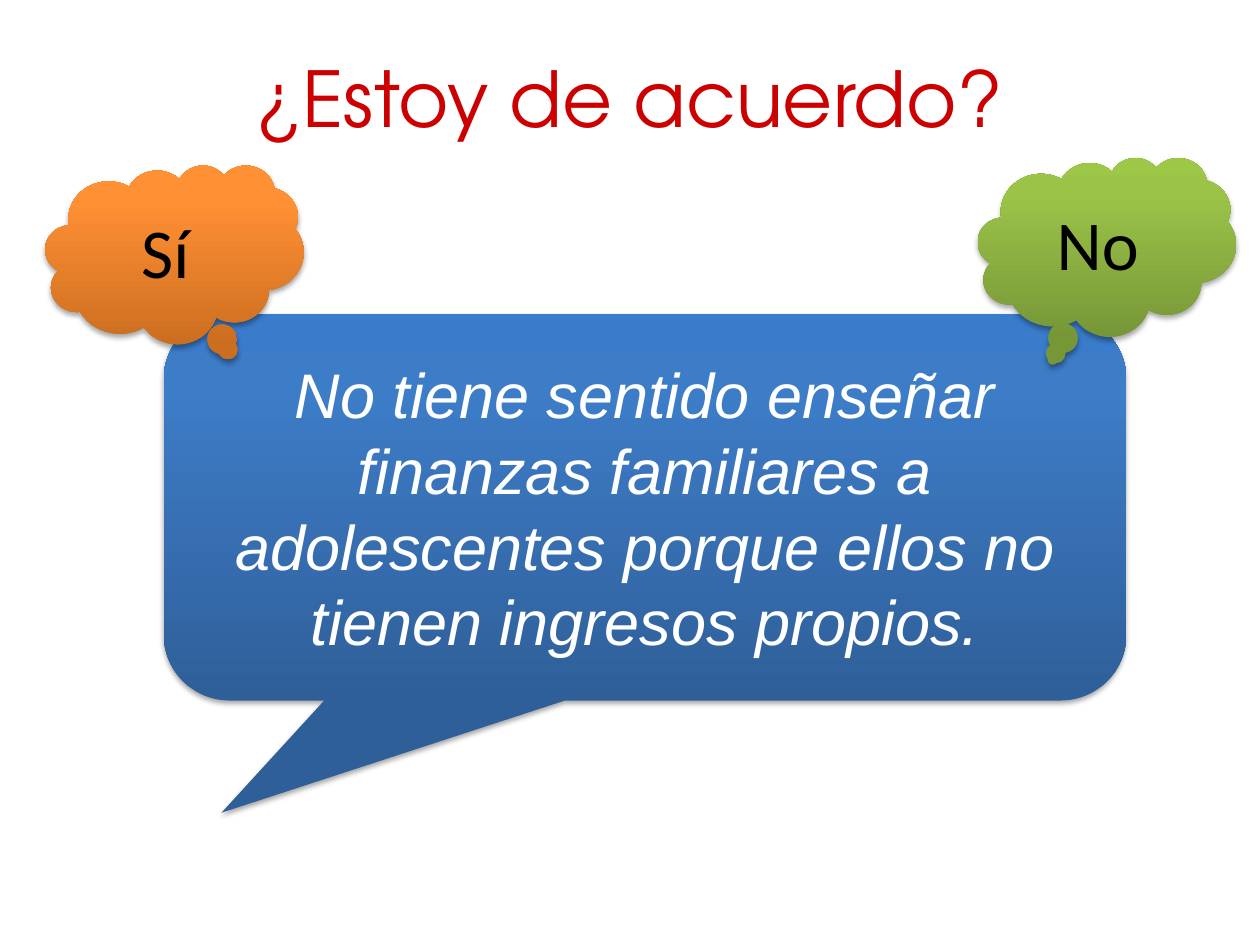
from copy import deepcopy

from lxml.etree import SubElement
from pptx import Presentation
from pptx.dml.color import RGBColor
from pptx.enum.shapes import MSO_SHAPE
from pptx.enum.text import MSO_ANCHOR, PP_ALIGN
from pptx.oxml.ns import qn
from pptx.util import Inches, Pt

RED = RGBColor(0xCC, 0x00, 0x00)
BLACK = RGBColor(0x00, 0x00, 0x00)
WHITE = RGBColor(0xFF, 0xFF, 0xFF)
BLUES = [RGBColor(0x2F, 0x5F, 0x99), RGBColor(0x3D, 0x7C, 0xC7), RGBColor(0x3A, 0x7C, 0xCB)]
GREENS = [RGBColor(0x77, 0x97, 0x37), RGBColor(0x9B, 0xC3, 0x48), RGBColor(0x9D, 0xC7, 0x46)]
ORANGES = [RGBColor(0xCC, 0x6E, 0x20), RGBColor(0xFF, 0x90, 0x34), RGBColor(0xFF, 0x91, 0x36)]

TITLE = {"name": "TeX Gyre Adventor", "size": Pt(44), "color": RED}
QUOTE = {"name": "Arial", "size": Pt(36), "italic": True, "color": WHITE}
REPLY = {"name": "Calibri", "size": Pt(40), "color": BLACK}


class Board:
    """Holds the current slide and the shared look of its callouts."""

    stops = (0, 0.8, 1)

    def __init__(self, slide):
        self.slide = slide

    def label(self, shape, text, style):
        frame = shape.text_frame
        frame.word_wrap = True
        frame.vertical_anchor = MSO_ANCHOR.MIDDLE
        line = frame.paragraphs[0]
        line.alignment = PP_ALIGN.CENTER
        run = line.add_run()
        run.text = text
        for key, value in style.items():
            if key == "color":
                run.font.color.rgb = value
            else:
                setattr(run.font, key, value)

    def title(self, box, text):
        shape = self.slide.shapes.add_textbox(*map(Inches, box))
        self.label(shape, text, TITLE)

    def callout(self, kind, box, tail, colors, text, style):
        shape = self.slide.shapes.add_shape(kind, *map(Inches, box))
        for i, value in enumerate(tail):
            shape.adjustments[i] = value
        shape.line.fill.background()
        self.shade(shape, colors)
        self.shadow(shape)
        self.label(shape, text, style)

    def shade(self, shape, colors):
        """Fill with a gradient that rises from the bottom edge."""
        fill = shape.fill
        fill.gradient()
        fill.gradient_angle = 90
        group = shape.element.spPr.find(".//" + qn("a:gsLst"))
        group.append(deepcopy(group[-1]))
        for stop, place, color in zip(fill.gradient_stops, self.stops, colors):
            stop.position = place
            stop.color.rgb = color

    def shadow(self, shape):
        shape.shadow.inherit = False
        effects = shape.element.spPr.find(qn("a:effectLst"))
        outer = SubElement(effects, qn("a:outerShdw"), blurRad=str(Pt(3.1)),
                           dist=str(Pt(1.8)), dir="5400000", rotWithShape="0")
        color = SubElement(outer, qn("a:srgbClr"), val=str(BLACK))
        SubElement(color, qn("a:alpha"), val="35000")


def main():
    deck = Presentation()
    deck.slide_width, deck.slide_height = Inches(10), Inches(7.5)
    board = Board(deck.slides.add_slide(deck.slide_layouts[6]))

    board.title((0.5, 0.3, 9, 0.93), "¿Estoy de acuerdo?")
    board.callout(
        MSO_SHAPE.ROUNDED_RECTANGULAR_CALLOUT, (1.3, 2.49, 7.64, 3.07),
        (-0.44, 0.79, 0.17), BLUES,
        "No tiene sentido enseñar finanzas familiares a adolescentes "
        "porque ellos no tienen ingresos propios.", QUOTE)
    clouds = [
        ("No", 7.76, 1.25, (-0.21, 0.63), GREENS),
        ("Sí", 0.36, 1.31, (0.21, 0.54), ORANGES),
    ]
    for text, left, top, tail, colors in clouds:
        board.callout(MSO_SHAPE.CLOUD_CALLOUT, (left, top, 2.05, 1.42),
                      tail, colors, text, REPLY)

    deck.save("out.pptx")


if __name__ == "__main__":
    main()
